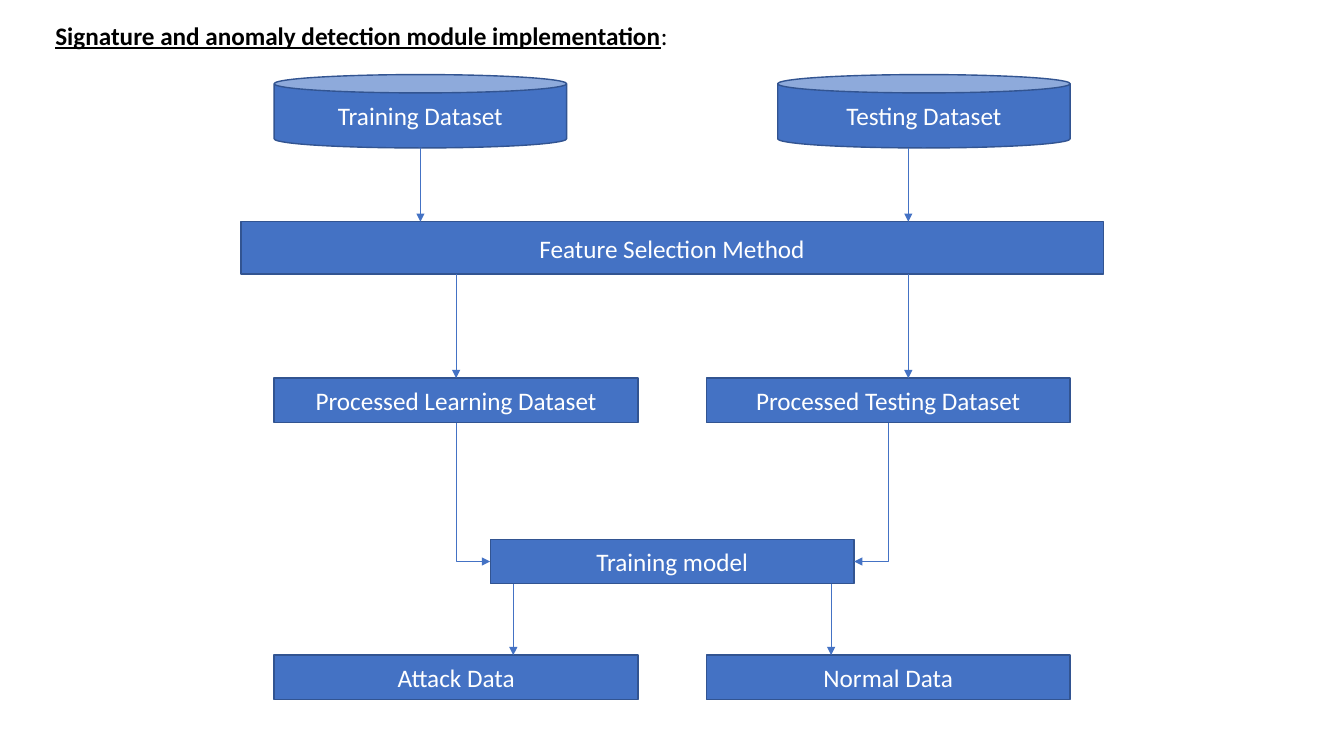
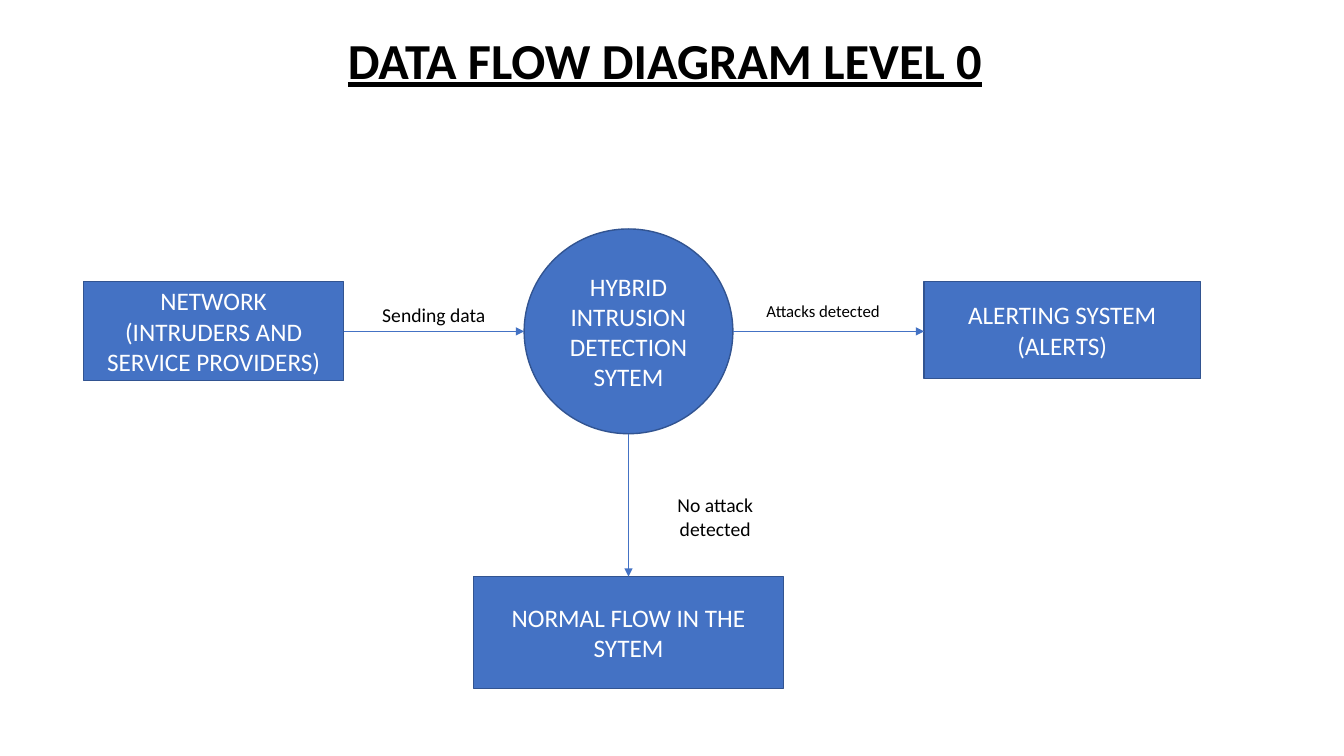
from pptx import Presentation
from pptx.dml.color import RGBColor
from pptx.enum.shapes import MSO_CONNECTOR, MSO_SHAPE
from pptx.enum.text import MSO_ANCHOR, MSO_AUTO_SIZE, PP_ALIGN
from pptx.oxml.ns import qn
from pptx.util import Cm, Pt
from lxml import etree

RECT, CAN, OVAL = MSO_SHAPE.RECTANGLE, MSO_SHAPE.CAN, MSO_SHAPE.OVAL
STRAIGHT, ELBOW = MSO_CONNECTOR.STRAIGHT, MSO_CONNECTOR.ELBOW
LEFT, CENTER = PP_ALIGN.LEFT, PP_ALIGN.CENTER
TOP, MIDDLE = MSO_ANCHOR.TOP, MSO_ANCHOR.MIDDLE
NO_AUTOFIT = MSO_AUTO_SIZE.NONE

FONT = "Calibri"
BLUE, EDGE, WHITE, BLACK = "4472C4", "325491", "FFFFFF", "000000"
TITLE_ONLY = 5


def rgb(value):
    """Return the colour for a hex string."""
    return RGBColor.from_string(value)


def style_text(tf, size, color, align=CENTER, anchor=MIDDLE):
    """Format every run of a text frame."""
    tf.word_wrap = True
    tf.vertical_anchor = anchor
    for p in tf.paragraphs:
        p.alignment = align
        for r in p.runs:
            r.font.name = FONT
            r.font.size = Pt(size)
            r.font.color.rgb = rgb(color)


def add_title(slide, box, text, size, align, suffix=""):
    """Fill the title with underlined bold text and a plain suffix."""
    sp = slide.shapes.title
    sp.left, sp.top, sp.width, sp.height = (Cm(v) for v in box)
    tf = sp.text_frame
    tf.auto_size = NO_AUTOFIT
    tf.text = text
    r = tf.paragraphs[0].runs[0]
    r.font.bold = r.font.underline = True
    if suffix:
        r = tf.paragraphs[0].add_run()
        r.text = suffix
        r.font.bold = r.font.underline = False
    style_text(tf, size, BLACK, align, TOP)


def add_node(slide, kind, x, y, w, h, text):
    """Add a filled shape with centred text."""
    sp = slide.shapes.add_shape(kind, Cm(x), Cm(y), Cm(w), Cm(h))
    sp.shadow.inherit = False
    sp.fill.solid()
    sp.fill.fore_color.rgb = rgb(BLUE)
    sp.line.color.rgb = rgb(EDGE)
    sp.line.width = Pt(1)
    sp.text_frame.text = text
    style_text(sp.text_frame, 18, WHITE)


def add_label(slide, x, y, w, h, text, size):
    """Add a centred caption beside an arrow."""
    sp = slide.shapes.add_textbox(Cm(x), Cm(y), Cm(w), Cm(h))
    sp.text_frame.text = text
    style_text(sp.text_frame, size, BLACK, anchor=TOP)


def add_arrow(slide, x1, y1, x2, y2, kind=STRAIGHT):
    """Add a thin line that ends in a triangle."""
    cxn = slide.shapes.add_connector(kind, Cm(x1), Cm(y1), Cm(x2), Cm(y2))
    cxn.line.color.rgb = rgb(BLUE)
    cxn.line.width = Pt(0.5)
    etree.SubElement(cxn.line._get_or_add_ln(), qn("a:tailEnd"), type="triangle")
    etree.SubElement(cxn._element.spPr, qn("a:effectLst"))
    return cxn


def add_corner_arrow(slide, x1, y1, x2, y2):
    """Add an arrow that runs down and then turns sideways."""
    cx, cy = (x1 + x2) / 2, (y1 + y2) / 2
    dx, dy = (y2 - y1) / 2, abs(x2 - x1) / 2
    side = 1 if x2 < x1 else -1
    cxn = add_arrow(slide, cx - side * dx, cy - dy, cx + side * dx, cy + dy, ELBOW)
    spPr = cxn._element.spPr
    spPr.find(qn("a:prstGeom")).set("prst", "bentConnector2")
    spPr.find(qn("a:xfrm")).set("rot", str((90 if side > 0 else 270) * 60000))


def add_detection_flow(slide, x, y, w):
    """Draw the detection pipeline from datasets to results."""
    margin, can_w, can_h, bar_h, box_w, box_h = 0.84, 7.37, 1.85, 1.32, 9.17, 1.12
    bar_y, processed_y, model_y, result_y = y + 3.71, y + 7.65, y + 11.71, y + 14.63
    left, right = x + margin, x + w - margin
    model_x = x + (w - box_w) / 2
    testing_x = x + 16.82

    add_node(slide, CAN, left, y, can_w, can_h, "Training Dataset")
    add_node(slide, CAN, right - can_w, y, can_w, can_h, "Testing Dataset")
    add_node(slide, RECT, x, bar_y, w, bar_h, "Feature Selection Method")
    for box_x, box_y, text in (
        (left, processed_y, "Processed Learning Dataset"),
        (right - box_w, processed_y, "Processed Testing Dataset"),
        (model_x, model_y, "Training model"),
        (left, result_y, "Attack Data"),
        (right - box_w, result_y, "Normal Data"),
    ):
        add_node(slide, RECT, box_x, box_y, box_w, box_h, text)

    for arrow_x, start, end in (
        (left + can_w / 2, y + can_h, bar_y),
        (testing_x, y + can_h, bar_y),
        (left + box_w / 2, bar_y + bar_h, processed_y),
        (testing_x, bar_y + bar_h, processed_y),
        (model_x + 0.58, model_y + box_h, result_y),
        (model_x + box_w - 0.58, model_y + box_h, result_y),
    ):
        add_arrow(slide, arrow_x, start, arrow_x, end)
    for start_x, end_x in (
        (left + box_w / 2, model_x),
        (right - box_w / 2, model_x + box_w),
    ):
        add_corner_arrow(slide, start_x, processed_y + box_h,
                         end_x, model_y + box_h / 2)


def add_data_flow(slide, x, y, w):
    """Draw the level 0 data flow around the central process."""
    oval_x, oval_w, oval_h = x + 11.1, 5.26, 5.16
    cx, cy = oval_x + oval_w / 2, y + oval_h / 2
    network_w, alert_w, normal_w = 6.55, 6.96, 7.8
    side_y, normal_y = y + 1.32, y + 8.76

    add_node(slide, OVAL, oval_x, y, oval_w, oval_h,
             "HYBRID INTRUSION DETECTION SYTEM")
    add_node(slide, RECT, x, side_y, network_w, 2.5,
             "NETWORK\n(INTRUDERS AND SERVICE PROVIDERS)")
    add_node(slide, RECT, x + w - alert_w, side_y, alert_w, 2.45,
             "ALERTING SYSTEM\n(ALERTS)")
    add_node(slide, RECT, cx - normal_w / 2, normal_y, normal_w, 2.82,
             "NORMAL FLOW IN THE SYTEM")

    add_arrow(slide, x + network_w, cy, oval_x, cy)
    add_arrow(slide, oval_x + oval_w, cy, x + w - alert_w, cy)
    add_arrow(slide, cx, y + oval_h, cx, normal_y)

    add_label(slide, x + 6.96, y + 1.73, 3.73, 0.86, "Sending data", 14)
    add_label(slide, oval_x + oval_w, y + 1.68, 4.55, 0.76, "Attacks detected", 12)
    add_label(slide, x + 14.05, y + 6.53, 3.73, 1.45, "No attack detected", 14)


def main():
    """Build both slides and save the deck."""
    prs = Presentation()
    prs.slide_width, prs.slide_height = Cm(33.87), Cm(19.05)
    layout = prs.slide_layouts[TITLE_ONLY]

    slide = prs.slides.add_slide(layout)
    add_title(slide, (1.14, 0.38, 18.9, 1.03),
              "Signature and anomaly detection module implementation", 18, LEFT, ":")
    add_detection_flow(slide, 6.07, 1.88, 21.74)

    slide = prs.slides.add_slide(layout)
    add_title(slide, (0.48, 0.61, 32.56, 1.8), "DATA FLOW DIAGRAM LEVEL 0", 36, CENTER)
    add_data_flow(slide, 2.11, 5.77, 28.14)

    prs.save("out.pptx")


if __name__ == "__main__":
    main()
